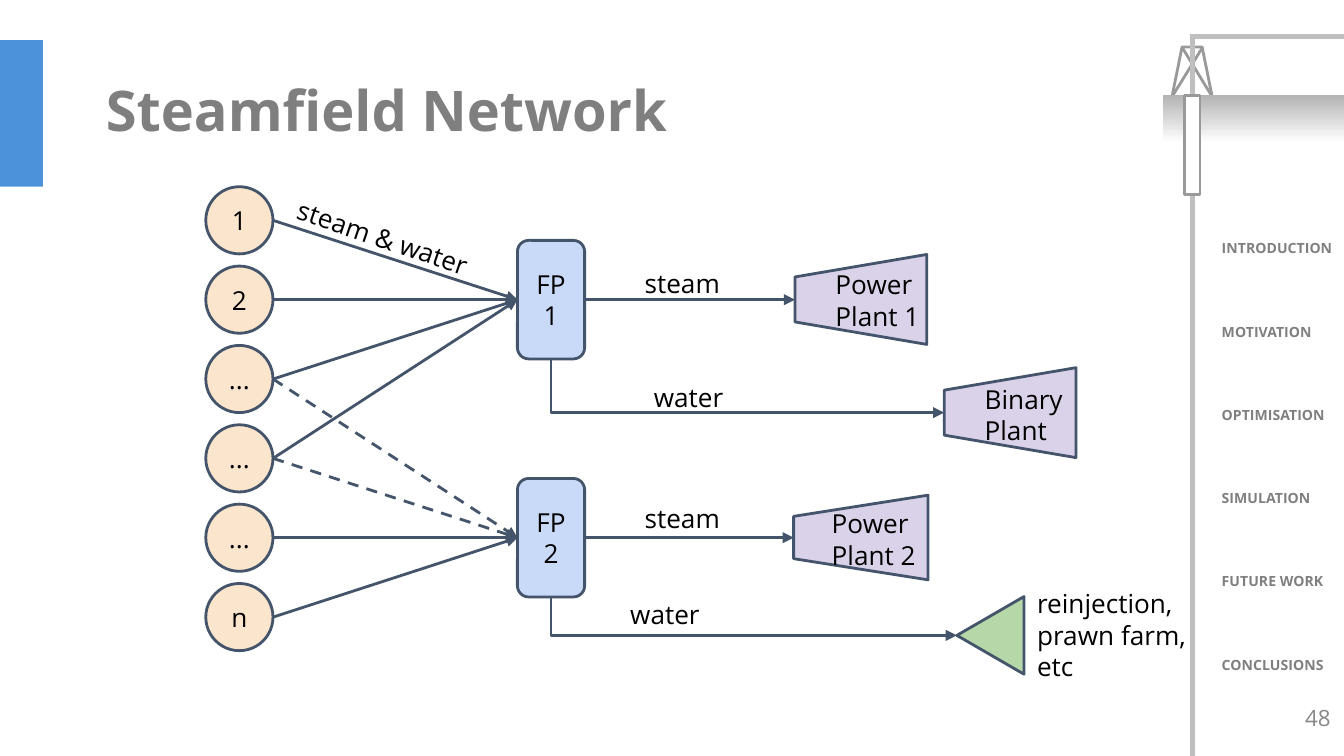
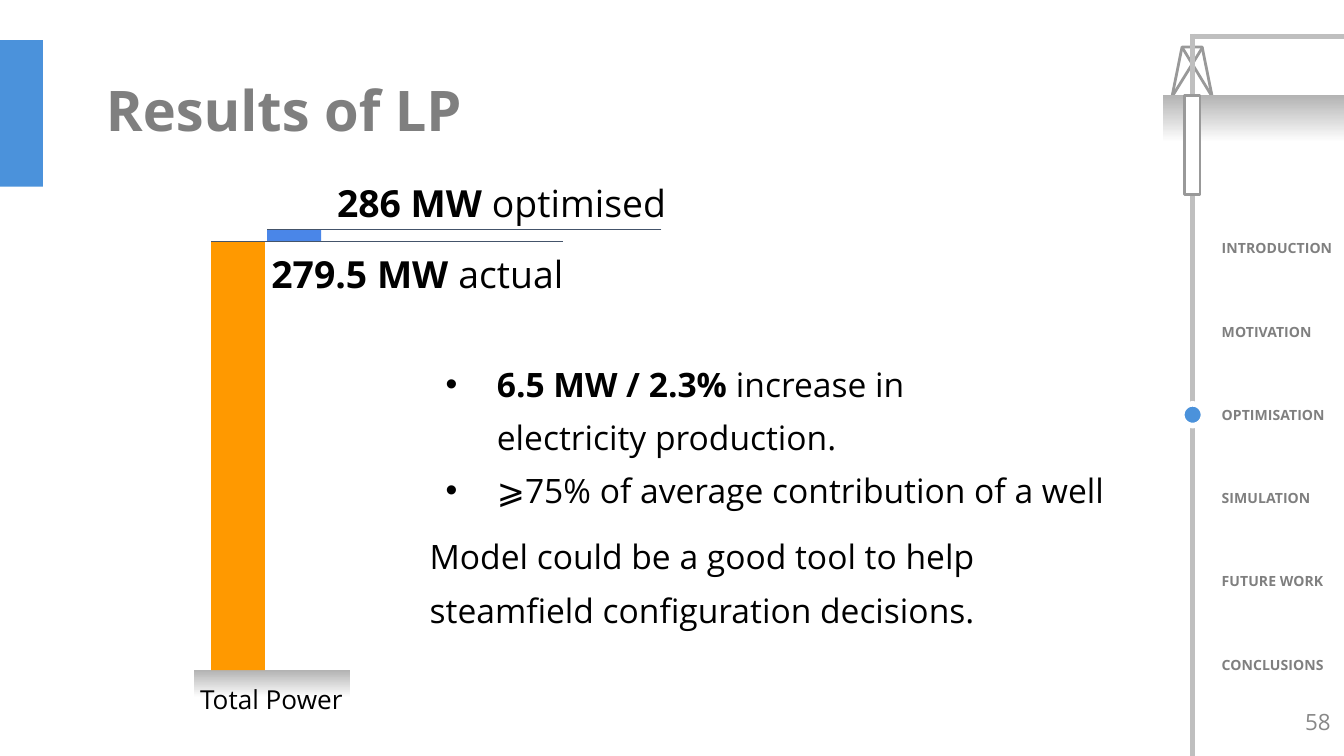
from pptx import Presentation
from pptx.dml.color import RGBColor
from pptx.enum.dml import MSO_LINE
from pptx.enum.shapes import MSO_CONNECTOR, MSO_SHAPE
from pptx.enum.text import MSO_ANCHOR, MSO_AUTO_SIZE, PP_ALIGN
from pptx.oxml.ns import qn
from pptx.util import Cm, Pt
from lxml import etree

STRAIGHT, ELBOW = MSO_CONNECTOR.STRAIGHT, MSO_CONNECTOR.ELBOW
RECTANGLE, ROUNDED = MSO_SHAPE.RECTANGLE, MSO_SHAPE.ROUNDED_RECTANGLE
OVAL, TRAPEZOID, TRIANGLE = MSO_SHAPE.OVAL, MSO_SHAPE.TRAPEZOID, MSO_SHAPE.ISOSCELES_TRIANGLE
TOP, MIDDLE = MSO_ANCHOR.TOP, MSO_ANCHOR.MIDDLE
LEFT, CENTER, RIGHT = PP_ALIGN.LEFT, PP_ALIGN.CENTER, PP_ALIGN.RIGHT
DASH = MSO_LINE.DASH
NO_FIT = MSO_AUTO_SIZE.NONE

FONT = "Open Sans"
BLACK = RGBColor(0x00, 0x00, 0x00)
WHITE = RGBColor(0xFF, 0xFF, 0xFF)
TITLE_GREY = RGBColor(0x7F, 0x7F, 0x7F)
NUMBER_GREY = RGBColor(0x88, 0x88, 0x88)
RIG_GREY = RGBColor(0x99, 0x99, 0x99)
GROUND_GREY = RGBColor(0xB3, 0xB3, 0xB3)
PIPE_GREY = RGBColor(0xBF, 0xBF, 0xBF)
ACCENT_BLUE = RGBColor(0x4B, 0x92, 0xDB)
OUTLINE = RGBColor(0x44, 0x54, 0x6A)
WELL_FILL = RGBColor(0xFC, 0xE5, 0xCD)
SEPARATOR_FILL = RGBColor(0xC9, 0xDA, 0xF8)
PLANT_FILL = RGBColor(0xD9, 0xD2, 0xE9)
SINK_FILL = RGBColor(0xB6, 0xD7, 0xA8)
ACTUAL_FILL = RGBColor(0xFF, 0x99, 0x00)
GAIN_FILL = RGBColor(0x4A, 0x86, 0xE8)

SLIDE_WIDTH, SLIDE_HEIGHT = 25.4, 14.29
INSET = 0.25
PIPE_X = 22.54
SECTIONS = ["INTRODUCTION", "MOTIVATION", "OPTIMISATION", "SIMULATION", "FUTURE WORK", "CONCLUSIONS"]
SECTION_TOP, SECTION_STEP, SECTION_HEIGHT = 4.37, 1.575, 0.64

WELLS = ["1", "2", "...", "...", "...", "n"]
WELL_LEFT, WELL_TOP, WELL_SIZE, WELL_STEP = 3.89, 3.53, 1.27, 1.5
SEPARATORS = [("FP1", 1), ("FP2", 4)]
SEPARATOR_LEFT, SEPARATOR_WIDTH, SEPARATOR_HEIGHT = 9.78, 1.27, 2.24
PIPELINES = [
    (0, 0, False), (1, 0, False), (2, 0, False), (3, 0, False),
    (2, 1, True), (3, 1, True), (4, 1, False), (5, 1, False),
]
OUTLETS = [
    (TRAPEZOID, PLANT_FILL, 16.27, 5.66, 1.7, 2.49, 0, "steam"),
    (TRAPEZOID, PLANT_FILL, 16.27, 10.16, 1.6, 2.54, 1, "steam"),
    (TRAPEZOID, PLANT_FILL, 19.09, 7.8, 1.7, 2.49, 0, "water"),
    (TRIANGLE, SINK_FILL, 18.72, 12.01, 1.47, 1.27, 1, "water"),
]
NETWORK_LABELS = [
    ("steam & water", 5.28, 3.99, 4.19, 1.19, LEFT, TOP, 18.7),
    ("Power Plant 1", 15.54, 4.83, 2.29, 0.76, LEFT, TOP, 0),
    ("Power Plant 2", 15.47, 9.35, 2.29, 0.76, LEFT, TOP, 0),
    ("Binary Plant", 18.36, 6.99, 2.29, 0.76, LEFT, TOP, 0),
    ("steam", 10.8, 4.8, 4.19, 1.19, CENTER, TOP, 0),
    ("steam", 10.8, 9.25, 4.19, 1.19, CENTER, TOP, 0),
    ("water", 10.92, 6.96, 4.19, 1.19, CENTER, TOP, 0),
    ("water", 11.66, 11.07, 4.19, 1.19, LEFT, TOP, 0),
    ("reinjection, prawn farm, etc", 19.35, 11.2, 3.38, 1.6, LEFT, MIDDLE, 0),
]

BAR_WIDTH, ACTUAL_TOP, GAIN_TOP, BASE_TOP = 1.02, 4.57, 4.34, 12.67
ACTUAL_LEFT, GAIN_LEFT = 3.99, 5.05
BAR_LABELS = [
    ([("279.5 MW ", True), ("actual", False)], 4.88, 4.5),
    ([("286 MW ", True), ("optimised", False)], 6.12, 3.15),
]
FINDINGS = [
    (True, 0, [("6.5 MW / 2.3% ", True), ("increase in ", False), ("\v", False),
               ("electricity production.", False)]),
    (True, 0, [("⩾75% of average contribution of a well", False)]),
    (False, 7.1, [("Model could be a good tool to help steamfield configuration decisions.", False)]),
]


def place(shape, left, top, width, height):
    shape.left, shape.top, shape.width, shape.height = Cm(left), Cm(top), Cm(width), Cm(height)


def set_frame(text_frame, anchor, horizontal=INSET, vertical=INSET, right=None):
    text_frame.word_wrap = True
    text_frame.auto_size = NO_FIT
    text_frame.vertical_anchor = anchor
    text_frame.margin_left = Cm(horizontal)
    text_frame.margin_right = Cm(horizontal if right is None else right)
    text_frame.margin_top = text_frame.margin_bottom = Cm(vertical)


def style_font(font, size, color=BLACK, bold=False):
    font.name, font.size, font.bold = FONT, Pt(size), bold
    font.color.rgb = color


def write_parts(paragraph, parts, size, color=BLACK):
    for text, bold in parts:
        if text == "\v":
            paragraph.add_line_break()
            continue
        run = paragraph.add_run()
        run.text = text
        style_font(run.font, size, color, bold)


def add_label(slide, parts, left, top, width, height, size=14, color=BLACK, align=LEFT, anchor=TOP,
              **insets):
    box = slide.shapes.add_textbox(Cm(left), Cm(top), Cm(width), Cm(height))
    set_frame(box.text_frame, anchor, **insets)
    paragraph = box.text_frame.paragraphs[0]
    paragraph.alignment = align
    write_parts(paragraph, parts, size, color)
    return box


def add_box(slide, kind, left, top, width, height, fill=None, line=None, line_width=1.5):
    shape = slide.shapes.add_shape(kind, Cm(left), Cm(top), Cm(width), Cm(height))
    shape.shadow.inherit = False
    if fill is None:
        shape.fill.background()
    else:
        shape.fill.solid()
        shape.fill.fore_color.rgb = fill
    if line is None:
        shape.line.fill.background()
    else:
        shape.line.color.rgb = line
        shape.line.width = Pt(line_width)
    return shape


def add_ground(slide, left, top, width, height):
    ground = add_box(slide, RECTANGLE, left, top, width, height)
    ground.rotation = 180
    ground.fill.gradient()
    ground.fill.gradient_angle = 270
    for stop, color in zip(ground.fill.gradient_stops, (WHITE, GROUND_GREY)):
        stop.color.rgb = color


def add_node(slide, kind, text, left, top, width, height, fill, inset):
    node = add_box(slide, kind, left, top, width, height, fill, OUTLINE)
    set_frame(node.text_frame, MIDDLE, inset)
    paragraph = node.text_frame.paragraphs[0]
    paragraph.alignment = CENTER
    write_parts(paragraph, [(text, False)], 14)
    return node


def add_line(slide, start, end, color=OUTLINE, width=1.5, kind=STRAIGHT, dashed=False, arrow=False):
    points = [Cm(value) for value in (*start, *end)]
    connector = slide.shapes.add_connector(kind, *points)
    connector.line.color.rgb = color
    connector.line.width = Pt(width)
    if dashed:
        connector.line.dash_style = DASH
    properties = connector._element.spPr
    if arrow:
        etree.SubElement(properties.find(qn("a:ln")), qn("a:tailEnd"), type="triangle")
    etree.SubElement(properties, qn("a:effectLst"))
    return connector


def add_down_and_right(slide, separator, outlet, start, end):
    connector = add_line(slide, start, end, kind=ELBOW, arrow=True)
    connector.begin_connect(separator, 2)
    connector.end_connect(outlet, 0)
    run, drop = end[0] - start[0], end[1] - start[1]
    place(connector, (start[0] + end[0] - drop) / 2, (start[1] + end[1] - run) / 2, drop, run)
    properties = connector._element.spPr
    properties.find(qn("a:prstGeom")).set("prst", "bentConnector2")
    transform = properties.find(qn("a:xfrm"))
    for name, value in (("rot", "16200000"), ("flipH", "1"), ("flipV", "0")):
        transform.set(name, value)


def add_base_slide(presentation, layout_index, title_text, number, number_top):
    slide = presentation.slides.add_slide(presentation.slide_layouts[layout_index])
    add_box(slide, TRAPEZOID, 22.15, 0.89, 0.76, 0.94, line=RIG_GREY)
    add_line(slide, (22.35, 0.91), (22.91, 1.83), RIG_GREY)
    add_line(slide, (22.73, 0.89), (22.15, 1.83), RIG_GREY)
    add_box(slide, RECTANGLE, 0, 0.76, 0.81, 2.77, ACCENT_BLUE)
    add_ground(slide, 21.97, 1.8, 3.43, 0.89)
    add_line(slide, (PIPE_X, 0.64), (PIPE_X, SLIDE_HEIGHT), PIPE_GREY, 3)
    add_box(slide, RECTANGLE, 22.38, 1.8, 0.3, 1.88, WHITE, RIG_GREY)
    add_line(slide, (PIPE_X, 0.69), (SLIDE_WIDTH, 0.69), PIPE_GREY, 3)
    for index, section in enumerate(SECTIONS):
        add_label(slide, [(section, True)], 22.38, SECTION_TOP + index * SECTION_STEP, 3.02,
                  SECTION_HEIGHT, 7.5, TITLE_GREY, anchor=MIDDLE, horizontal=0.71, vertical=0.08, right=0)
    title = slide.shapes.title
    place(title, 1.75, 0.76, 21.89, 2.77)
    title.text_frame.text = title_text
    set_frame(title.text_frame, MIDDLE)
    paragraph = title.text_frame.paragraphs[0]
    paragraph.alignment = LEFT
    paragraph.line_spacing = 0.9
    style_font(paragraph.runs[0].font, 30, TITLE_GREY, True)
    add_label(slide, [(number, False)], 19.69, number_top, 5.71, 0.76, 12, NUMBER_GREY, RIGHT, MIDDLE,
              vertical=0.13)
    return slide


def build_network(presentation):
    slide = add_base_slide(presentation, 5, "Steamfield Network", "48", 13.18)
    centres = [WELL_TOP + WELL_SIZE / 2 + index * WELL_STEP for index in range(len(WELLS))]
    for name, centre in zip(WELLS, centres):
        add_node(slide, OVAL, name, WELL_LEFT, centre - WELL_SIZE / 2, WELL_SIZE, WELL_SIZE, WELL_FILL, 0)
    separators = [
        add_node(slide, ROUNDED, name, SEPARATOR_LEFT, centres[row] - SEPARATOR_HEIGHT / 2,
                 SEPARATOR_WIDTH, SEPARATOR_HEIGHT, SEPARATOR_FILL, INSET)
        for name, row in SEPARATORS
    ]
    for well, target, dashed in PIPELINES:
        start = (WELL_LEFT + WELL_SIZE, centres[well])
        end = (SEPARATOR_LEFT, centres[SEPARATORS[target][1]])
        pipeline = add_line(slide, start, end, dashed=dashed, arrow=True)
        pipeline.end_connect(separators[target], 1)
    for kind, fill, x, y, width, height, source, flow in OUTLETS:
        outlet = add_box(slide, kind, x - width / 2, y - height / 2, width, height, fill, OUTLINE)
        outlet.rotation = 270
        inlet = (x - height / 2, y)
        source_y = centres[SEPARATORS[source][1]]
        if flow == "steam":
            start = (SEPARATOR_LEFT + SEPARATOR_WIDTH, source_y)
            steam_line = add_line(slide, start, (inlet[0], source_y), arrow=True)
            steam_line.begin_connect(separators[source], 3)
        else:
            start = (SEPARATOR_LEFT + SEPARATOR_WIDTH / 2, source_y + SEPARATOR_HEIGHT / 2)
            add_down_and_right(slide, separators[source], outlet, start, inlet)
    for text, left, top, width, height, align, anchor, angle in NETWORK_LABELS:
        label = add_label(slide, [(text, False)], left, top, width, height, align=align, anchor=anchor)
        label.rotation = angle


def add_findings(slide):
    body = slide.placeholders[1]
    place(body, 7.87, 6.38, 13.87, 7.67)
    text_frame = body.text_frame
    set_frame(text_frame, TOP)
    for index, (bulleted, space_before, parts) in enumerate(FINDINGS):
        paragraph = text_frame.add_paragraph() if index else text_frame.paragraphs[0]
        paragraph.alignment = LEFT
        paragraph.line_spacing = 1.32
        paragraph.space_before = Pt(space_before)
        properties = paragraph._p.get_or_add_pPr()
        properties.set("marL", str(Cm(1.27) if bulleted else 0))
        properties.set("indent", str(Cm(-0.97) if bulleted else 0))
        if bulleted:
            bullet_color = etree.SubElement(properties, qn("a:buClr"))
            etree.SubElement(bullet_color, qn("a:srgbClr"), val=str(BLACK))
            etree.SubElement(properties, qn("a:buFont"), typeface="Arial")
            etree.SubElement(properties, qn("a:buChar"), char="•")
        else:
            etree.SubElement(properties, qn("a:buNone"))
        write_parts(paragraph, parts, 18)


def build_results(presentation):
    slide = add_base_slide(presentation, 1, "Results of LP", "58", 13.26)
    add_ground(slide, 3.66, BASE_TOP, 2.95, 0.51)
    marker_size = 0.41
    marker_y = SECTION_TOP + SECTIONS.index("OPTIMISATION") * SECTION_STEP + SECTION_HEIGHT / 2
    add_box(slide, OVAL, PIPE_X - marker_size / 2, marker_y - marker_size / 2, marker_size, marker_size,
            ACCENT_BLUE, WHITE, 3)
    add_findings(slide)
    add_box(slide, RECTANGLE, ACTUAL_LEFT, ACTUAL_TOP, BAR_WIDTH, BASE_TOP - ACTUAL_TOP, ACTUAL_FILL)
    add_box(slide, RECTANGLE, GAIN_LEFT, GAIN_TOP, BAR_WIDTH, ACTUAL_TOP - GAIN_TOP, GAIN_FILL)
    for parts, left, top in BAR_LABELS:
        add_label(slide, parts, left, top, 7.62, 1.32, 20)
    add_line(slide, (10.64, ACTUAL_TOP), (ACTUAL_LEFT, ACTUAL_TOP), width=0.75)
    add_line(slide, (12.5, GAIN_TOP), (GAIN_LEFT, GAIN_TOP), width=0.75)
    add_label(slide, [("Total Power", False)], 3.1, BASE_TOP, 4.06, 1.32, align=CENTER)


def main():
    presentation = Presentation()
    presentation.slide_width, presentation.slide_height = Cm(SLIDE_WIDTH), Cm(SLIDE_HEIGHT)
    build_network(presentation)
    build_results(presentation)
    presentation.save("out.pptx")


if __name__ == "__main__":
    main()
